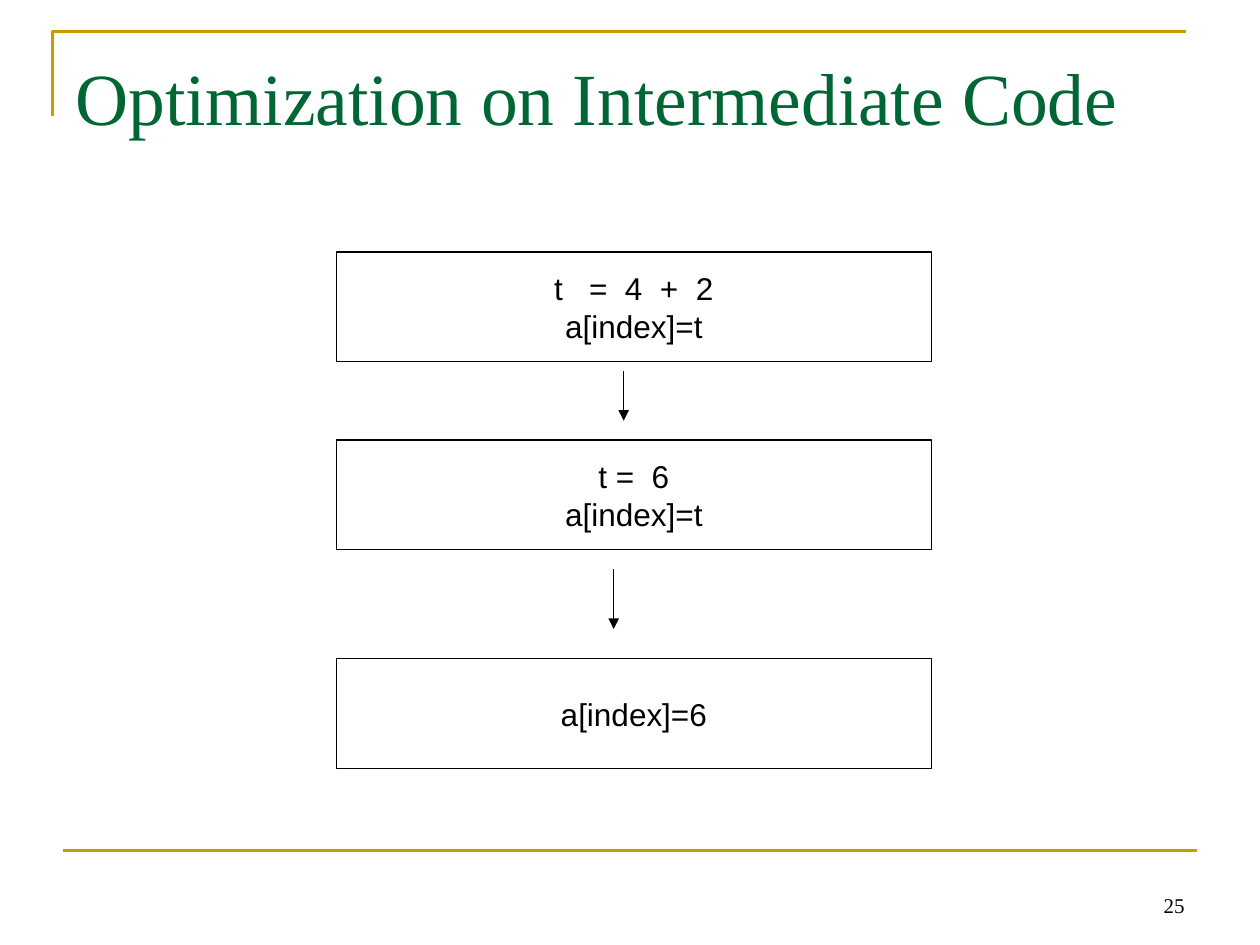
from dataclasses import dataclass
from typing import Any

from lxml import etree
from pptx import Presentation
from pptx.dml.color import RGBColor
from pptx.enum import shapes, text
from pptx.oxml import ns
from pptx.util import Pt


@dataclass(frozen=True)
class Theme:
    gold: str = "CC9900"
    green: str = "006633"
    ink: str = "000000"
    paper: str = "FFFFFF"
    serif: str = "Times New Roman"
    sans: str = "Arial"
    title: float = 42
    body: float = 18
    small: float = 12
    rule: float = 1.5
    thin: float = 0.75


@dataclass(frozen=True)
class Step:
    top: float
    code: str


@dataclass(frozen=True)
class Line:
    x1: float
    y1: float
    x2: float
    y2: float
    color: str
    width: float
    arrow: bool = False


T = Theme()
LEFT, WIDE, HIGH = 192.25, 340, 62.6

STEPS = [
    Step(144, "t   =  4  +  2\na[index]=t"),
    Step(251.4, "t =  6\na[index]=t"),
    Step(376.5, "a[index]=6"),
]
LINES = [
    Line(36, 486, 684, 486, T.gold, T.rule),
    Line(356.4, 212, 356.4, 240.4, T.ink, T.thin, True),
    Line(350.7, 325.4, 350.7, 359.4, T.ink, T.thin, True),
]


def rgb(code: str) -> RGBColor:
    return RGBColor.from_string(code)


def stroke(line: Any, color: str, width: float) -> None:
    line.color.rgb = rgb(color)
    line.width = Pt(width)


def write(shape: Any, words: str, font: str, size: float, color: str,
          align: Any, anchor: Any, wrap: bool = True) -> None:
    frame = shape.text_frame
    frame.text = words
    frame.word_wrap = wrap
    frame.vertical_anchor = anchor
    for para in frame.paragraphs:
        para.alignment = align
        for run in para.runs:
            run.font.name = font
            run.font.size = Pt(size)
            run.font.color.rgb = rgb(color)


def draw_step(slide: Any, step: Step) -> None:
    box = slide.shapes.add_shape(shapes.MSO_SHAPE.RECTANGLE, Pt(LEFT),
                                 Pt(step.top), Pt(WIDE), Pt(HIGH))
    box.shadow.inherit = False
    box.fill.solid()
    box.fill.fore_color.rgb = rgb(T.paper)
    stroke(box.line, T.ink, T.thin)
    write(box, step.code, T.sans, T.body, T.ink, text.PP_ALIGN.CENTER,
          text.MSO_ANCHOR.MIDDLE, wrap=False)


def draw_line(slide: Any, item: Line) -> None:
    link = slide.shapes.add_connector(
        shapes.MSO_CONNECTOR.STRAIGHT,
        Pt(item.x1), Pt(item.y1), Pt(item.x2), Pt(item.y2))
    stroke(link.line, item.color, item.width)
    props = link._element.spPr
    if item.arrow:
        edge = props.find(ns.qn("a:ln"))
        etree.SubElement(edge, ns.qn("a:tailEnd"), type="triangle")
    etree.SubElement(props, ns.qn("a:effectLst"))


def draw_frame(slide: Any) -> None:
    pen = slide.shapes.build_freeform(Pt(30), Pt(66.25))
    pen.add_line_segments([(Pt(30), Pt(18)), (Pt(678), Pt(18))], close=False)
    corner = pen.convert_to_shape()
    corner.shadow.inherit = False
    corner.fill.background()
    stroke(corner.line, T.gold, T.rule)


def main() -> None:
    deck = Presentation()
    deck.slide_width, deck.slide_height = Pt(720), Pt(540)
    slide = deck.slides.add_slide(deck.slide_layouts[6])

    # Corner frame and title
    draw_frame(slide)
    title = slide.shapes.add_textbox(Pt(36), Pt(21.6), Pt(648), Pt(90))
    title.text_frame.margin_top = Pt(8)
    write(title, "Optimization on Intermediate Code", T.serif, T.title,
          T.green, text.PP_ALIGN.LEFT, text.MSO_ANCHOR.TOP)

    # Page number
    page = slide.shapes.add_textbox(Pt(516), Pt(492), Pt(168), Pt(36))
    write(page, "25", T.serif, T.small, T.ink, text.PP_ALIGN.RIGHT,
          text.MSO_ANCHOR.BOTTOM)

    # Code steps, arrows and bottom rule
    for step in STEPS:
        draw_step(slide, step)
    for item in LINES:
        draw_line(slide, item)

    deck.save("out.pptx")


if __name__ == "__main__":
    main()
